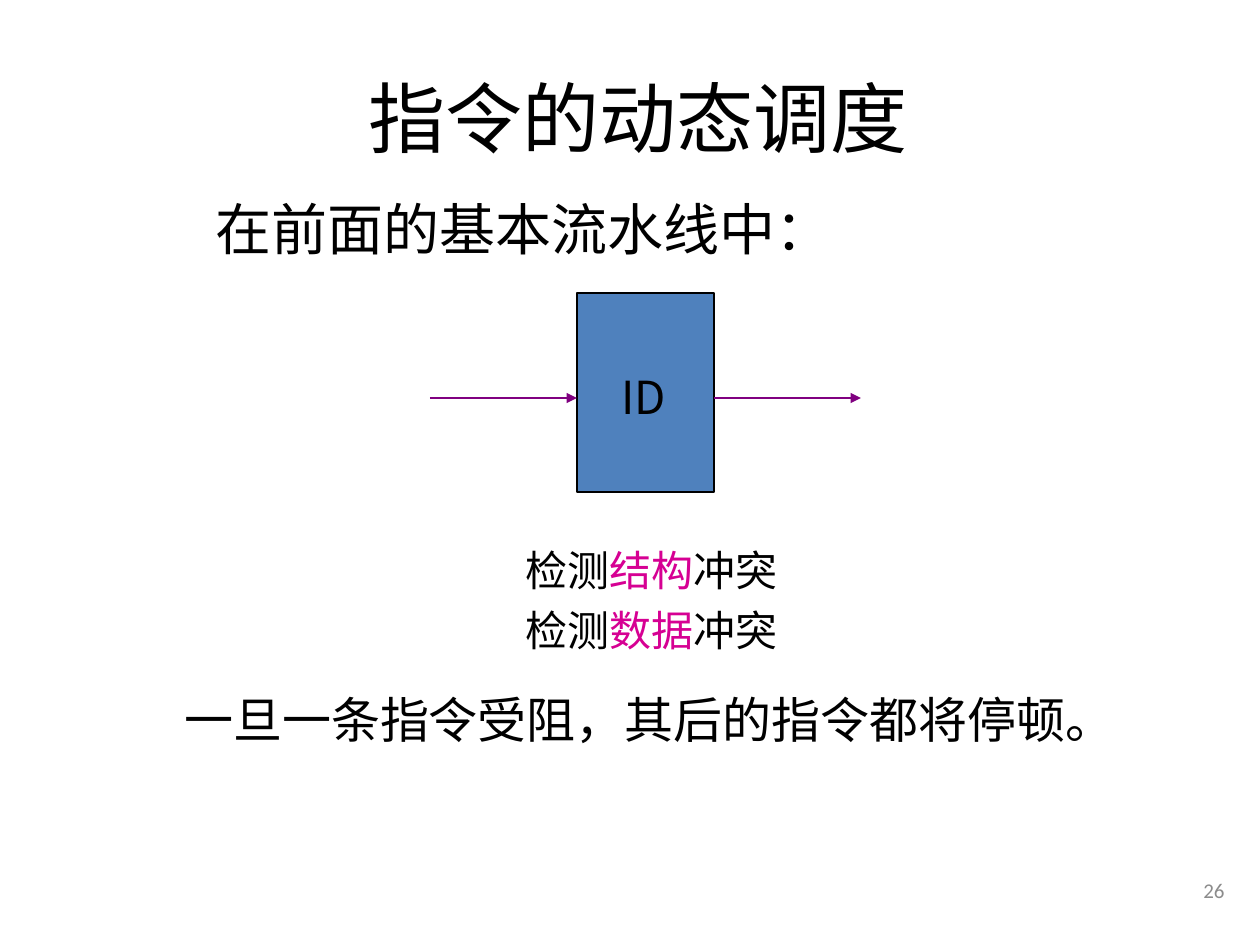
"""Build the slide on dynamic instruction scheduling."""
from lxml.etree import SubElement
from pptx import Presentation
from pptx.dml.color import RGBColor
from pptx.enum.shapes import MSO_CONNECTOR as CONN, MSO_SHAPE as SHAPE
from pptx.enum.text import MSO_ANCHOR as ANCHOR, MSO_AUTO_SIZE as AUTO, PP_ALIGN as ALIGN
from pptx.oxml.ns import qn
from pptx.util import Emu, Pt

PX = 914400 // 126
THEME = {
    "cjk": "Noto Sans CJK SC", "latin": "Calibri",
    "ink": "000000", "accent": "D60093", "muted": "8C8C8C",
    "stage": "4F81BD", "arrow": "800080",
    "title": 44, "lead": 32, "conclusion": 28, "label": 26, "check": 24, "number": 12,
}

STAGE = (577, 293, 137, 199)
ARROW_Y, ARROW_LENGTH = 398, 147
CHECKS = ["结构", "数据"]
TEXTS = [
    {"at": (71, 38, 1134, 157), "size": "title", "font": "cjk",
     "lines": [[("指令的动态调度", "ink")]],
     "frame": {"vertical_anchor": ANCHOR.MIDDLE}, "para": {"alignment": ALIGN.CENTER}},
    {"at": (203, 188, 645, 79), "size": "lead",
     "lines": [[("在前面的基本流水线中：", "ink")]]},
    {"at": (609, 363, 168, 67), "size": "label", "font": "cjk",
     "lines": [[("ID", "ink")]], "frame": {"auto_size": AUTO.SHAPE_TO_FIT_TEXT}},
    {"at": (513, 528, 307, 134), "size": "check",
     "lines": [[("检测", "ink"), (kind, "accent"), ("冲突", "ink")] for kind in CHECKS],
     "para": {"line_spacing": 1.2}},
    {"at": (172, 672, 994, 84), "size": "conclusion",
     "lines": [[("一旦一条指令受阻，其后的指令都将停顿。", "ink")]],
     "para": {"line_spacing": 1.2}},
    {"at": (975, 859, 262, 63), "size": "number",
     "lines": [[("26", "muted")]],
     "frame": {"vertical_anchor": ANCHOR.MIDDLE}, "para": {"alignment": ALIGN.RIGHT}},
]


def px(*lengths):
    return [Emu(length * PX) for length in lengths]


def color(role):
    return RGBColor.from_string(THEME[role])


def apply(target, formats):
    for attribute, value in formats.items():
        setattr(target, attribute, value)


def add_text(slide, at, size, lines, font="latin", frame=None, para=None):
    body = slide.shapes.add_textbox(*px(*at)).text_frame
    apply(body, {"word_wrap": True, **(frame or {})})
    for index, line in enumerate(lines):
        paragraph = body.add_paragraph() if index else body.paragraphs[0]
        apply(paragraph, para or {})
        for words, role in line:
            run = paragraph.add_run()
            run.text = words
            apply(run.font, {"size": Pt(THEME[size]), "name": THEME[font]})
            run.font.color.rgb = color(role)
            SubElement(run.font._element, qn("a:ea"), typeface=THEME["cjk"])


def add_stage(slide):
    stage = slide.shapes.add_shape(SHAPE.RECTANGLE, *px(*STAGE))
    stage.shadow.inherit = False
    stage.fill.solid()
    stage.fill.fore_color.rgb = color("stage")
    stage.line.color.rgb = color("ink")
    stage.line.width = Pt(0.75)


def add_arrow(slide, start):
    ends = px(start, ARROW_Y, start + ARROW_LENGTH, ARROW_Y)
    arrow = slide.shapes.add_connector(CONN.STRAIGHT, *ends)
    arrow.line.color.rgb = color("arrow")
    arrow.line.width = Pt(1.5)
    SubElement(arrow.line._get_or_add_ln(), qn("a:tailEnd"), type="triangle")
    SubElement(arrow._element.spPr, qn("a:effectLst"))


def main():
    deck = Presentation()
    deck.slide_width, deck.slide_height = px(1260, 945)
    slide = deck.slides.add_slide(deck.slide_layouts[6])
    add_stage(slide)
    left, _, width, _ = STAGE
    for start in (left - ARROW_LENGTH, left + width):
        add_arrow(slide, start)
    for text in TEXTS:
        add_text(slide, **text)
    deck.save("out.pptx")


if __name__ == "__main__":
    main()
